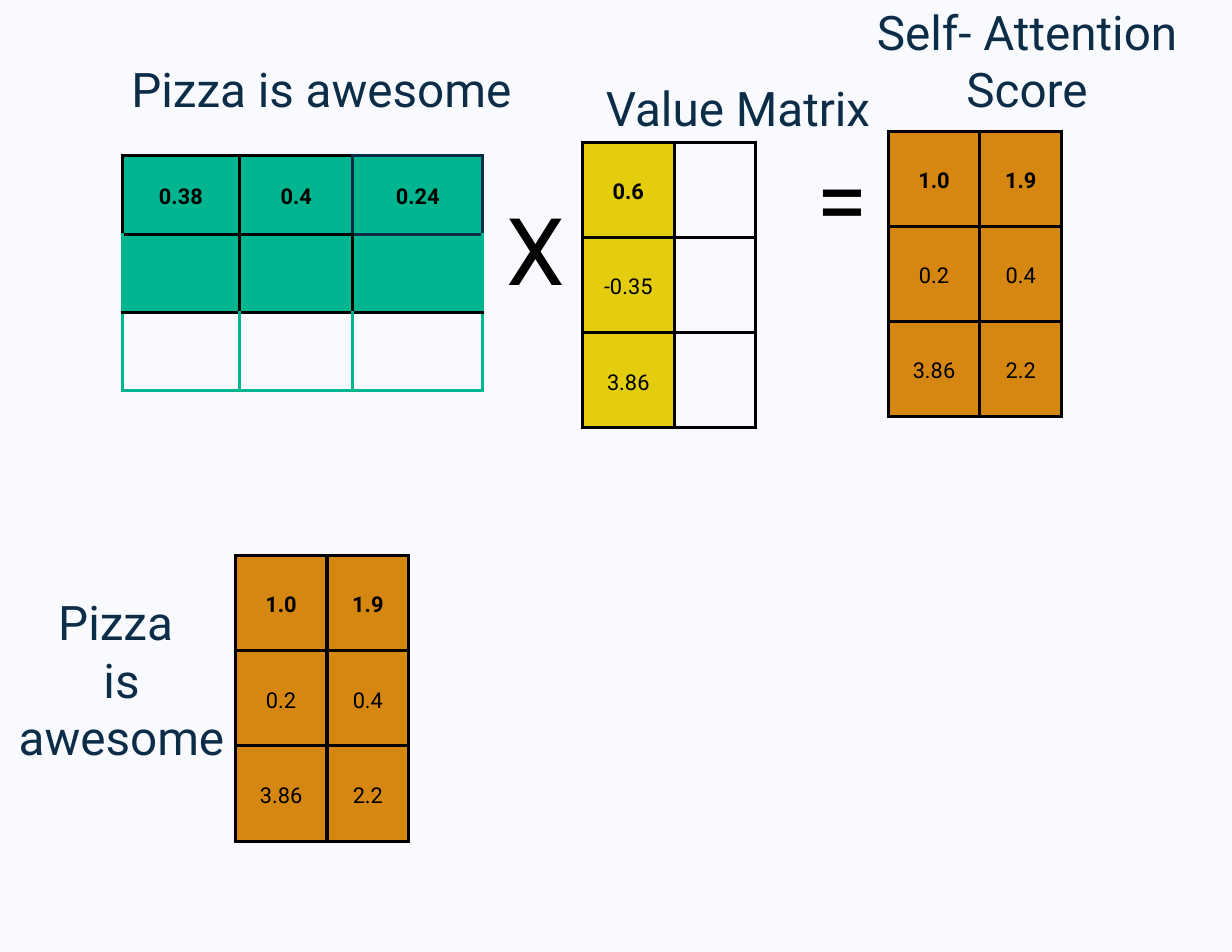
from lxml import etree
from pptx import Presentation
from pptx import util as u
from pptx.dml.color import RGBColor
from pptx.enum import text
from pptx.oxml import ns

FONT = "Roboto"
COLORS = {"paper": "F8FAFD", "black": "000000", "navy": "0C2D48",
          "green": "02B591", "yellow": "E3CD0E", "orange": "D58711"}
EDGES = {"k": "black", "n": "navy", "g": "green"}
SIDES = {"lnL": 0, "lnR": 2, "lnT": 1, "lnB": 3}

W, H = 11, 8.5
PAIR = (0.82, 0.73)
TRIPLE = (1.05, 1.01, 1.16)
ALL_BLACK = [["kkkk"] * 2] * 3
WEIGHT_EDGES = [["kkkk", "kknk", "nnnn"],
                ["gkkk", "kkkk", "kngk"],
                ["gkgg"] * 3]

weights = [["0.38", "0.4", "0.24"], [""] * 3, [""] * 3]
values = [["0.6", ""], ["-0.35", ""], ["3.86", ""]]
scores = [["1.0", "1.9"], ["0.2", "0.4"], ["3.86", "2.2"]]

green_rows = [["green"] * 3, ["green"] * 3, [None] * 3]
yellow_column = [["yellow", None]] * 3
all_orange = [["orange"] * 2] * 3

matrices = [
    (1.09, 1.39, TRIPLE, 0.7, weights, green_rows, WEIGHT_EDGES),
    (5.2, 1.27, PAIR, 0.85, values, yellow_column, ALL_BLACK),
    (7.93, 1.17, PAIR, 0.85, scores, all_orange, ALL_BLACK),
    (2.1, 4.96, PAIR, 0.85, scores, all_orange, ALL_BLACK),
]

TITLE = (30.6, 37, "navy")
SIGN = (60, 72.6, "black")
labels = [
    (3.65, 1.71, 2.26, 1.01, ["X"], SIGN),
    (7.12, 1.25, 1.01, 1.01, ["= "], SIGN),
    (1.04, 0.53, 3.66, 0.52, ["Pizza is awesome"], TITLE),
    (7.34, 0.02, 3.66, 1.03, ["Self- Attention Score"], TITLE),
    (4.76, 0.7, 3.66, 0.52, ["Value Matrix"], TITLE),
    (0.13, 5.29, 1.91, 1.54, ["Pizza ", "is awesome"], TITLE),
]


def rgb(name):
    return RGBColor.from_string(COLORS[name])


def style(p, size, spacing, color, bold=False):
    p.alignment = text.PP_ALIGN.CENTER
    p.line_spacing = u.Pt(spacing)
    p.font.name, p.font.size, p.font.bold = FONT, u.Pt(size), bold
    p.font.color.rgb = rgb(color)


def set_borders(cell, edges):
    tc_pr = cell._tc.get_or_add_tcPr()
    for tag, side in SIDES.items():
        ln = etree.SubElement(tc_pr, ns.qn(f"a:{tag}"), w=str(u.Pt(2.25)))
        fill = etree.SubElement(ln, ns.qn("a:solidFill"))
        etree.SubElement(fill, ns.qn("a:srgbClr"), val=COLORS[EDGES[edges[side]]])


def add_matrix(s, left, top, cols, row_height, rows, fills, edges):
    table = s.shapes.add_table(
        len(rows), len(cols), u.Inches(left), u.Inches(top),
        u.Inches(sum(cols)), u.Inches(row_height * len(rows))).table
    table.first_row = table.horz_banding = False
    for column, width in zip(table.columns, cols):
        column.width = u.Inches(width)
    for r, row in enumerate(rows):
        table.rows[r].height = u.Inches(row_height)
        for c, value in enumerate(row):
            cell = table.cell(r, c)
            set_borders(cell, edges[r][c])
            if fills[r][c]:
                cell.fill.solid()
                cell.fill.fore_color.rgb = rgb(fills[r][c])
            else:
                cell.fill.background()
            if value:
                cell.vertical_anchor = text.MSO_ANCHOR.MIDDLE
                cell.margin_left = cell.margin_right = u.Inches(0.19)
                cell.margin_top = cell.margin_bottom = u.Inches(0.19)
                cell.text = value
                style(cell.text_frame.paragraphs[0], 14, 19.6, "black", r == 0)


def add_label(s, left, top, width, height, lines, look):
    sp = s.shapes.add_textbox(*map(u.Inches, (left, top, width, height)))
    tf = sp.text_frame
    tf.word_wrap = True
    tf.auto_size = text.MSO_AUTO_SIZE.SHAPE_TO_FIT_TEXT
    tf.margin_left = tf.margin_right = tf.margin_top = tf.margin_bottom = 0
    tf.text = "\n".join(lines)
    for p in tf.paragraphs:
        style(p, *look)


def main():
    prs = Presentation()
    prs.slide_width, prs.slide_height = u.Inches(W), u.Inches(H)
    s = prs.slides.add_slide(prs.slide_layouts[6])
    s.background.fill.solid()
    s.background.fill.fore_color.rgb = rgb("paper")
    for matrix in matrices:
        add_matrix(s, *matrix)
    for label in labels:
        add_label(s, *label)
    prs.save("out.pptx")


if __name__ == "__main__":
    main()
